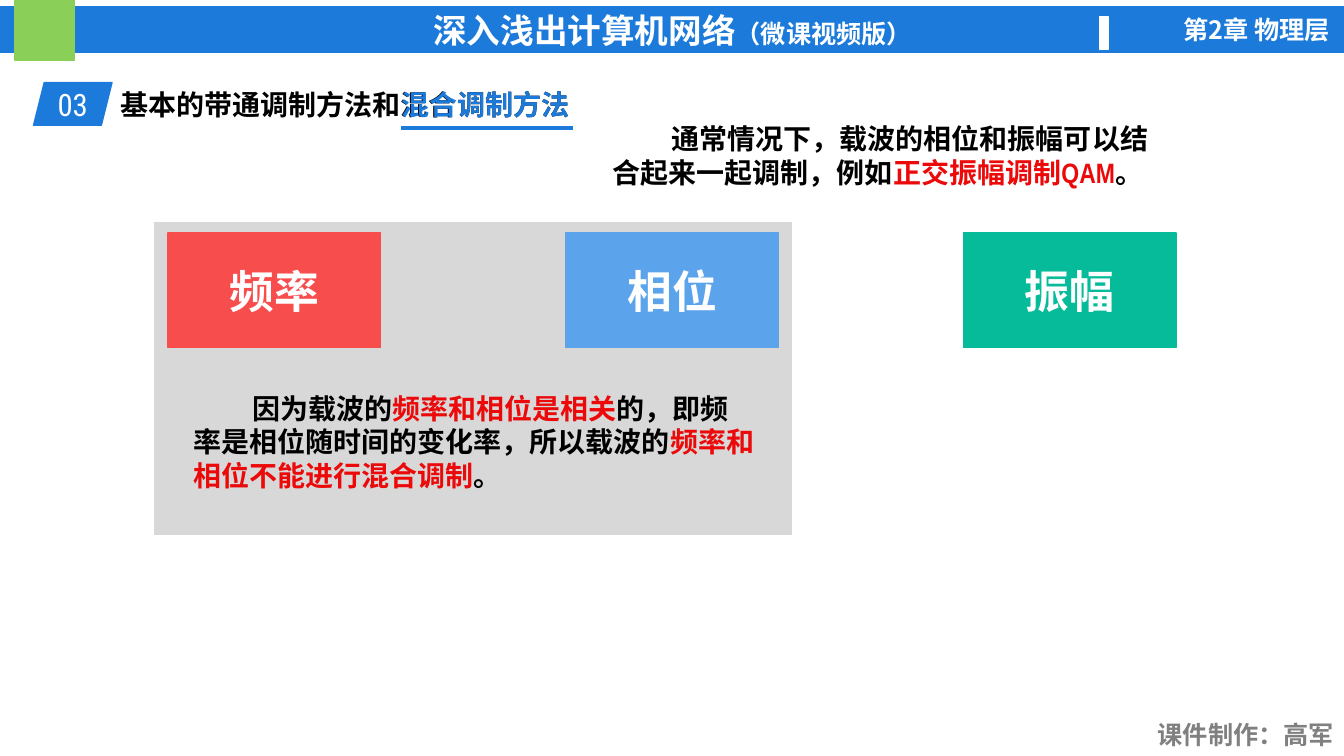
"""Build the slide on band-pass and hybrid modulation methods."""
from dataclasses import dataclass

from lxml.etree import SubElement
from pptx import Presentation
from pptx.dml.color import RGBColor
from pptx.enum.shapes import MSO_CONNECTOR, MSO_SHAPE
from pptx.enum.text import MSO_ANCHOR, PP_ALIGN
from pptx.oxml.ns import qn
from pptx.util import Pt


@dataclass(frozen=True)
class Theme:
    """Colours, fonts and type sizes of the slide."""
    blue: str = "1B7ADA"
    green: str = "8ACF57"
    white: str = "FFFFFF"
    black: str = "000000"
    grey: str = "808080"
    panel: str = "D8D8D8"
    accent: str = "EB0909"
    frequency: str = "F84D4D"
    phase: str = "5BA3EB"
    amplitude: str = "06BB9A"
    font: str = "Arial Narrow"
    number_font: str = "Roboto Condensed"
    chinese_font: str = "Noto Sans CJK SC"
    small: int = 18
    body: int = 20
    number: int = 22
    title: int = 24
    card: int = 32


class SlideBuilder:
    """Draw styled elements on one slide."""

    def __init__(self, slide, theme):
        """Keep the slide and its theme."""
        self.slide = slide
        self.theme = theme

    def add_runs(self, frame, runs, align, font=None, bold=True, indent=0):
        """Fill a text frame with (text, size, colour) runs."""
        frame.word_wrap = True
        paragraph = frame.paragraphs[0]
        paragraph.alignment = align
        if indent:
            paragraph._p.get_or_add_pPr().set("indent", str(Pt(indent)))
        for text, size, colour in runs:
            run = paragraph.add_run()
            run.text = text
            run.font.size = Pt(size)
            run.font.bold = bold
            run.font.color.rgb = RGBColor.from_string(colour)
            run.font.name = font or self.theme.font
            chinese = SubElement(run._r.get_or_add_rPr(), qn("a:ea"))
            chinese.set("typeface", self.theme.chinese_font)

    def block(self, box, colour, runs=(), preset=MSO_SHAPE.RECTANGLE, **style):
        """Add a filled shape with centred text."""
        shape = self.slide.shapes.add_shape(preset, *map(Pt, box))
        shape.shadow.inherit = False
        shape.fill.solid()
        shape.fill.fore_color.rgb = RGBColor.from_string(colour)
        shape.line.color.rgb = RGBColor.from_string(colour)
        shape.line.width = Pt(1)
        if runs:
            shape.text_frame.vertical_anchor = MSO_ANCHOR.MIDDLE
            self.add_runs(shape.text_frame, runs, PP_ALIGN.CENTER, **style)

    def text(self, box, runs, align=PP_ALIGN.LEFT, **style):
        """Add a text box."""
        frame = self.slide.shapes.add_textbox(*map(Pt, box)).text_frame
        self.add_runs(frame, runs, align, **style)

    def line(self, start, end, colour, width):
        """Add a straight line."""
        rule = self.slide.shapes.add_connector(
            MSO_CONNECTOR.STRAIGHT, *map(Pt, (*start, *end)))
        rule.line.color.rgb = RGBColor.from_string(colour)
        rule.line.width = Pt(width)
        SubElement(rule._element.spPr, qn("a:effectLst"))


def main():
    """Build and save the slide."""
    theme = Theme()
    deck = Presentation()
    deck.slide_width, deck.slide_height = Pt(960), Pt(540)
    page = SlideBuilder(deck.slides.add_slide(deck.slide_layouts[6]), theme)

    page.block((0, 5, 961, 32.4), theme.blue, [
        ("深入浅出计算机网络", theme.title, theme.white),
        ("（微课视频版）", theme.small, theme.white)])
    page.block((10.2, 0, 43, 43), theme.green)
    page.block((785.5, 11.8, 6, 23.5), theme.white)
    page.text((800, 7, 157, 29), [("第2章 物理层", theme.small, theme.white)],
              PP_ALIGN.RIGHT, font=theme.chinese_font)
    page.text((816.5, 510.5, 143.5, 29),
              [("课件制作：高军", theme.small, theme.grey)], PP_ALIGN.RIGHT)

    page.block((110.3, 159, 455.3, 222.5), theme.panel)
    page.block((24, 59, 56, 30.5), theme.blue,
               [("03", theme.number, theme.white)], MSO_SHAPE.PARALLELOGRAM,
               font=theme.number_font, bold=False)
    page.text((79, 59, 437, 31.5),
              [("基本的带通调制方法和混合调制方法", theme.body, theme.black)])
    page.text((279.5, 59, 145, 31.5),
              [("混合调制方法", theme.body, theme.blue)])
    page.line((286.5, 91.5), (409, 91.5), theme.blue, 3)

    quantities = [("频率", theme.frequency), ("相位", theme.phase),
                  ("振幅", theme.amplitude)]
    for column, (quantity, colour) in enumerate(quantities):
        page.block((120 + 284.1 * column, 166.4, 152, 82), colour,
                   [(quantity, theme.card, theme.white)])

    page.text((131, 275.8, 415.4, 80), [
        ("因为载波的", theme.body, theme.black),
        ("频率和相位是相关", theme.body, theme.accent),
        ("的，即频率是相位随时间的变化率，所以载波的", theme.body, theme.black),
        ("频率和相位不能进行混合调制", theme.body, theme.accent),
        ("。", theme.body, theme.black)], indent=42)
    page.text((430.5, 83.5, 415.4, 55.5), [
        ("通常情况下，载波的相位和振幅可以结合起来一起调制，例如",
         theme.body, theme.black),
        ("正交振幅调制QAM", theme.body, theme.accent),
        ("。", theme.body, theme.black)], indent=42)

    deck.save("out.pptx")


if __name__ == "__main__":
    main()
